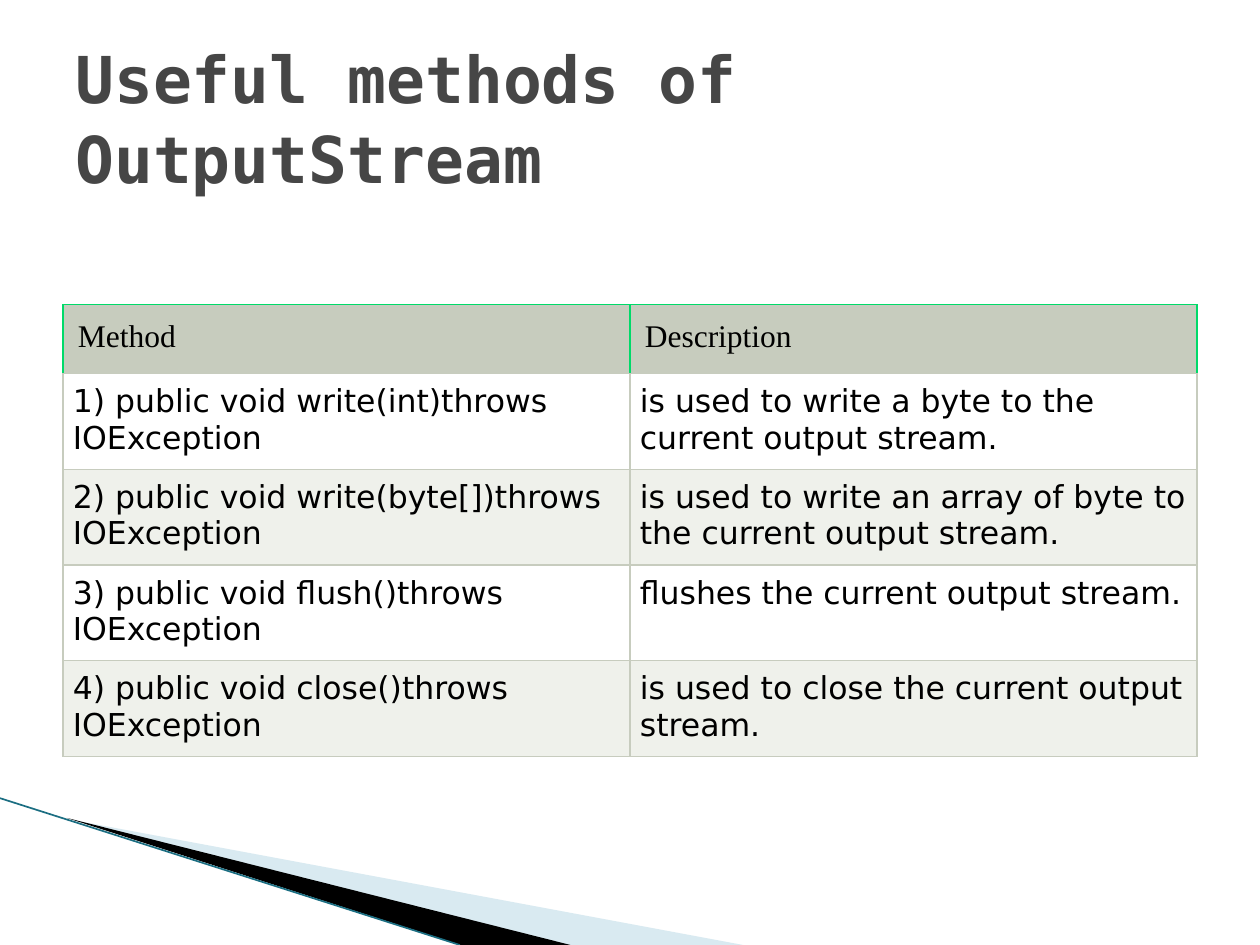
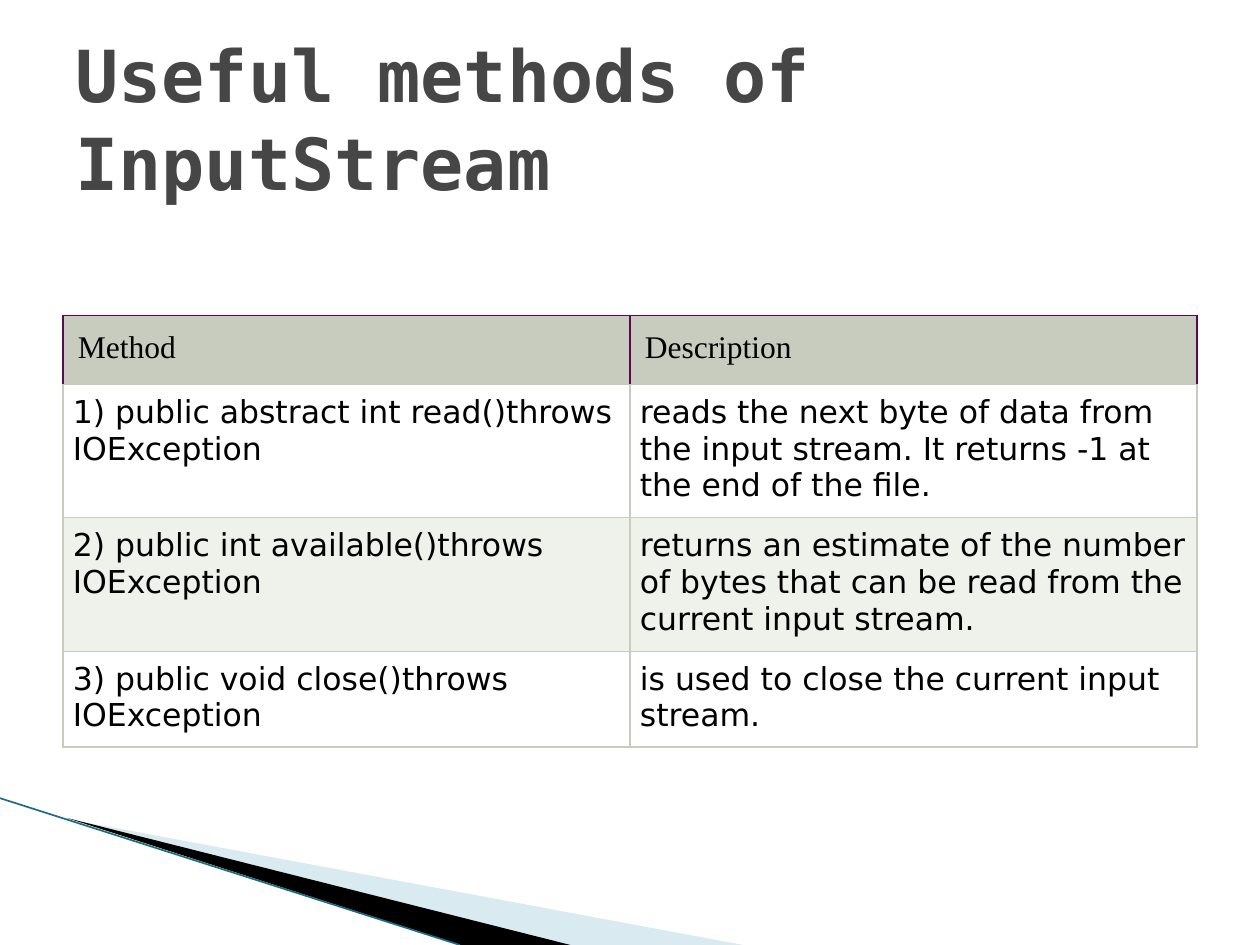
from lxml.etree import SubElement
from pptx import Presentation
from pptx.dml.color import RGBColor
from pptx.enum.shapes import MSO_CONNECTOR
from pptx.enum.text import MSO_ANCHOR
from pptx.oxml.ns import qn
from pptx.util import Cm, Pt

WHITE = RGBColor(0xFF, 0xFF, 0xFF)
BLACK = RGBColor(0x00, 0x00, 0x00)
TITLE_GREY = RGBColor(0x46, 0x46, 0x46)
HEADER_SAGE = RGBColor(0xC7, 0xCC, 0xBE)
BAND_SAGE = RGBColor(0xEF, 0xF1, 0xEB)
HEADER_GREEN = RGBColor(0x00, 0xDA, 0x69)
HEADER_PLUM = RGBColor(0x60, 0x07, 0x51)
WEDGE_BLUE = RGBColor(0xA0, 0xCB, 0xDC)
EDGE_TEAL = RGBColor(0x1B, 0x6E, 0x82)

TITLE_FONT = "DejaVu Sans Mono"
HEADER_FONT = "Times New Roman"
BODY_FONT = "DejaVu Sans"

PAGE_WIDTH, PAGE_HEIGHT = Cm(25.4), Cm(19.05)
MARGIN = Cm(1.27)
CONTENT_WIDTH = PAGE_WIDTH - 2 * MARGIN
HEADER_HEIGHT = Cm(1.39)
TWO_LINES, THREE_LINES = Cm(1.93), Cm(2.69)
HEADINGS = ("Method", "Description")

OUTPUT_METHODS = [
    ("1) public void write(int)throws IOException",
     "is used to write a byte to the current output stream.", TWO_LINES),
    ("2) public void write(byte[])throws IOException",
     "is used to write an array of byte to the current output stream.", TWO_LINES),
    ("3) public void flush()throws IOException",
     "flushes the current output stream.", TWO_LINES),
    ("4) public void close()throws IOException",
     "is used to close the current output stream.", TWO_LINES),
]
INPUT_METHODS = [
    ("1) public abstract int read()throws IOException",
     "reads the next byte of data from the input stream. "
     "It returns -1 at the end of the file.", THREE_LINES),
    ("2) public int available()throws IOException",
     "returns an estimate of the number of bytes that can be read "
     "from the current input stream.", THREE_LINES),
    ("3) public void close()throws IOException",
     "is used to close the current input stream.", TWO_LINES),
]


def write_text(frame, text, font, size, color=BLACK, bold=False, spacing=None):
    para = frame.paragraphs[0]
    para.line_spacing = spacing
    span = para.add_run()
    span.text = text
    span.font.name = font
    span.font.size = Pt(size)
    span.font.bold = bold
    span.font.color.rgb = color


def add_wedge(page, left, top, points, color, opacity=100):
    corners = [(left + Cm(x), top + Cm(y)) for x, y in points]
    builder = page.shapes.build_freeform(*corners[0], scale=1.0)
    builder.add_line_segments(corners[1:], close=True)
    wedge = builder.convert_to_shape()
    wedge.shadow.inherit = False
    wedge.line.fill.background()
    wedge.fill.solid()
    wedge.fill.fore_color.rgb = color
    if opacity < 100:
        shade = wedge.fill._xPr.find(qn("a:solidFill"))[0]
        SubElement(shade, qn("a:alpha"), val=str(opacity * 1000))


def add_corner_sweep(page, left, top):
    add_wedge(page, left, top, [(1.4, 0.43), (14.98, 2.96), (11.48, 2.96)],
              WEDGE_BLUE, opacity=40)
    add_wedge(page, left, top, [(1.35, 0.4), (11.5, 2.96), (9.29, 2.96)], BLACK)
    edge = page.shapes.add_connector(
        MSO_CONNECTOR.STRAIGHT, left, top, left + Cm(9.27), top + Cm(2.96))
    edge.line.color.rgb = EDGE_TEAL
    edge.line.width = Pt(0.95)
    SubElement(edge._element.spPr, qn("a:effectLst"))


def add_title(page, text, size, left, top, width, height):
    box = page.shapes.add_textbox(left, top, width, height)
    frame = box.text_frame
    frame.word_wrap = True
    frame.vertical_anchor = MSO_ANCHOR.MIDDLE
    write_text(frame, text, TITLE_FONT, size, color=TITLE_GREY, bold=True, spacing=1.03)


def style_cell(cell, text, font, fill, border, inset):
    cell.margin_left = cell.margin_right = inset
    cell.margin_top = cell.margin_bottom = inset
    write_text(cell.text_frame, text, font, 18)
    properties = cell._tc.get_or_add_tcPr()
    for side in "LRTB":
        line = SubElement(properties, qn(f"a:ln{side}"), w=str(Pt(0.75)))
        paint = SubElement(line, qn("a:solidFill"))
        color = HEADER_SAGE if side == "B" else border
        SubElement(paint, qn("a:srgbClr"), val=str(color))
    cell.fill.solid()
    cell.fill.fore_color.rgb = fill


def add_method_table(page, methods, header_border, left, top, width):
    height = HEADER_HEIGHT + sum(method[2] for method in methods)
    table = page.shapes.add_table(
        len(methods) + 1, len(HEADINGS), left, top, width, height).table
    for column in table.columns:
        column.width = width // len(HEADINGS)
    table.rows[0].height = HEADER_HEIGHT
    for index, heading in enumerate(HEADINGS):
        style_cell(table.cell(0, index), heading, HEADER_FONT,
                   HEADER_SAGE, header_border, Cm(0.3))
    for row, (signature, description, row_height) in enumerate(methods, 1):
        table.rows[row].height = row_height
        fill = WHITE if row % 2 else BAND_SAGE
        for index, text in enumerate((signature, description)):
            style_cell(table.cell(row, index), text, BODY_FONT,
                       fill, HEADER_SAGE, Cm(0.2))


def add_methods_page(deck, title, title_size, methods, header_border, table_top):
    page = deck.slides.add_slide(deck.slide_layouts[6])
    page.background.fill.solid()
    page.background.fill.fore_color.rgb = WHITE
    add_corner_sweep(page, 0, Cm(16.09))
    add_method_table(page, methods, header_border, MARGIN, table_top, CONTENT_WIDTH)
    add_title(page, title, title_size, MARGIN, Cm(0.76), CONTENT_WIDTH, Cm(3.18))


def main():
    deck = Presentation()
    deck.slide_width, deck.slide_height = PAGE_WIDTH, PAGE_HEIGHT
    add_methods_page(deck, "Useful methods of OutputStream", 36.9,
                     OUTPUT_METHODS, HEADER_GREEN, Cm(6.14))
    add_methods_page(deck, "Useful methods of InputStream", 41,
                     INPUT_METHODS, HEADER_PLUM, Cm(6.36))
    deck.save("out.pptx")


if __name__ == "__main__":
    main()
